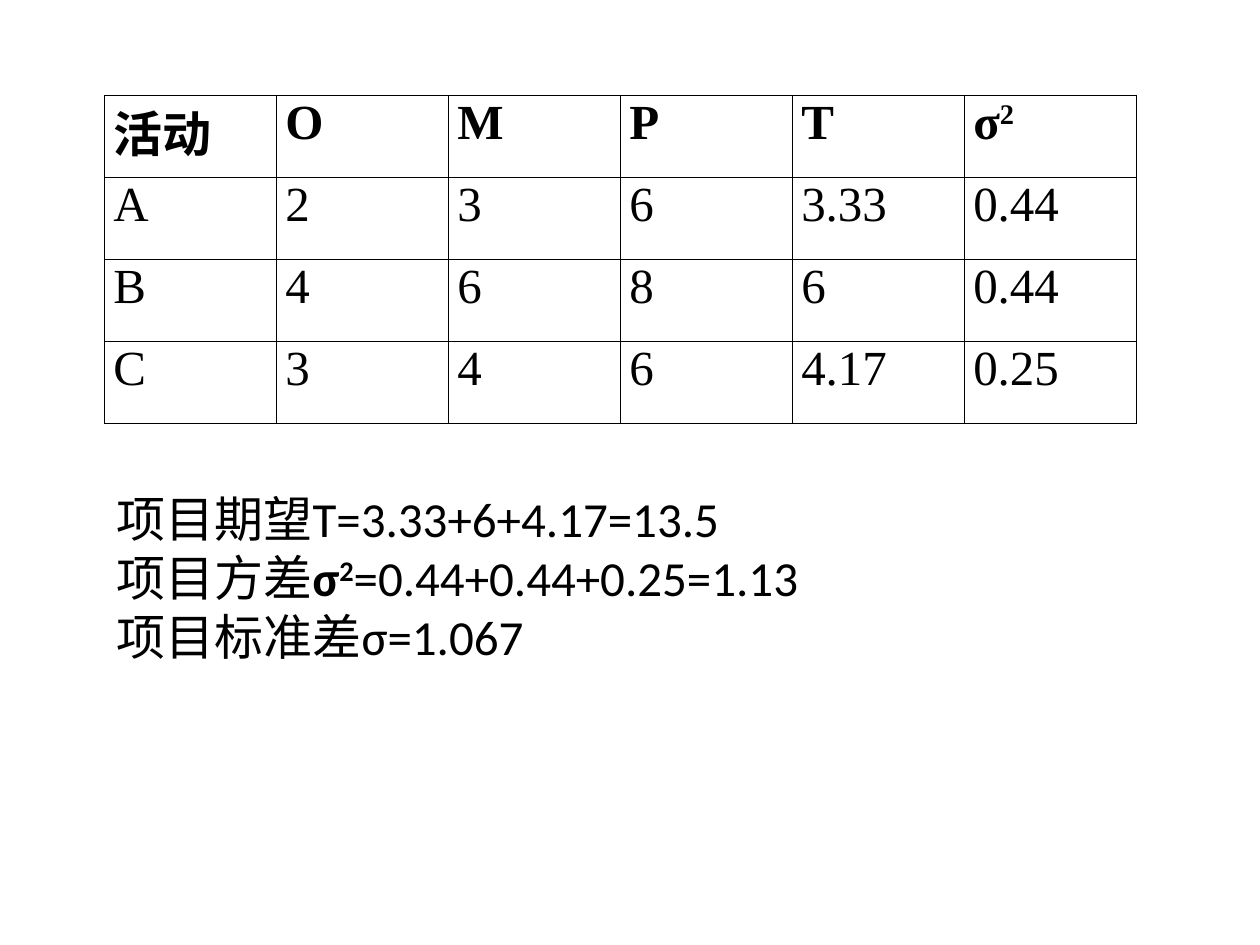
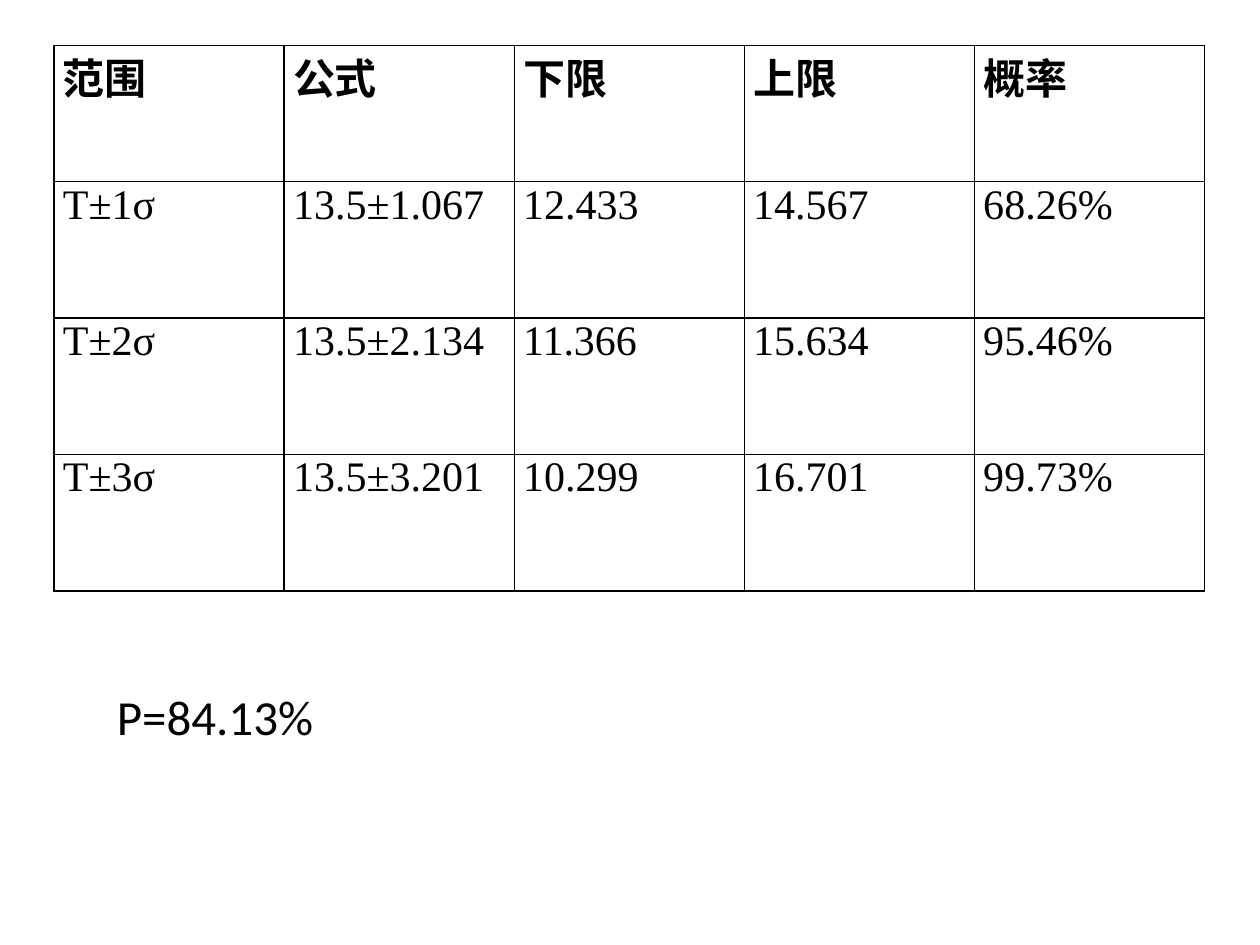
import pptx
import pptx.dml.color
import pptx.enum.text
import pptx.oxml.ns
import pptx.util
from lxml import etree

Inches = pptx.util.Inches
Pt = pptx.util.Pt

COLORS = {"text": "000000", "border": "000000"}
TABLE_FONT = "Times New Roman"
NOTE_FONT = "Calibri"
NOTE_SIZE = 28
NOTE_LEFT = 0.83
SUP = {"bold": True, "baseline": 30}

ACTIVITIES = [
    ["活动", "O", "M", "P", "T", [("σ", {}), ("2", SUP)]],
    ["A", "2", "3", "6", "3.33", "0.44"],
    ["B", "4", "6", "8", "6", "0.44"],
    ["C", "3", "4", "6", "4.17", "0.25"],
]
ACTIVITY_NOTES = [
    "项目期望T=3.33+6+4.17=13.5",
    [("项目方差", {}), ("σ", {"bold": True}), ("2", SUP),
     ("=0.44+0.44+0.25=1.13", {})],
    "项目标准差σ=1.067",
]
RANGES = [
    ["范围", "公式", "下限", "上限", "概率"],
    ["T±1σ", "13.5±1.067", "12.433", "14.567", "68.26%"],
    ["T±2σ", "13.5±2.134", "11.366", "15.634", "95.46%"],
    ["T±3σ", "13.5±3.201", "10.299", "16.701", "99.73%"],
]


def add_run(p, text, font, size, bold=False, baseline=0):
    r = p.add_run()
    r.text = text
    r.font.name = font
    r.font.size = Pt(size)
    r.font.bold = bold
    r.font.color.rgb = pptx.dml.color.RGBColor.from_string(COLORS["text"])
    if baseline:
        r.font._element.set("baseline", str(baseline * 1000))


def write(p, content, align=None, **fmt):
    """Fill a paragraph with a string or a list of (text, format) runs."""
    p.alignment = align
    runs = [(content, {})] if isinstance(content, str) else content
    for text, extra in runs:
        add_run(p, text, **{**fmt, **extra})


def set_borders(cell, width=1):
    tcPr = cell._tc.get_or_add_tcPr()
    for side in ("lnL", "lnR", "lnT", "lnB"):
        ln = etree.SubElement(tcPr, pptx.oxml.ns.qn("a:" + side), w=str(Pt(width)))
        fill = etree.SubElement(ln, pptx.oxml.ns.qn("a:solidFill"))
        etree.SubElement(fill, pptx.oxml.ns.qn("a:srgbClr"), val=COLORS["border"])


def add_grid(slide, rows, left, top, width, height, size):
    """Plain ruled table with equal columns, equal rows and a bold header."""
    frame = slide.shapes.add_table(len(rows), len(rows[0]), Inches(left),
                                   Inches(top), Inches(width), Inches(height))
    table = frame.table
    table.first_row = table.horz_banding = False
    for i, row in enumerate(rows):
        for j, content in enumerate(row):
            cell = table.cell(i, j)
            cell.margin_left = cell.margin_right = Inches(0.07)
            cell.margin_top = cell.margin_bottom = 0
            set_borders(cell)
            cell.fill.background()
            write(cell.text_frame.paragraphs[0], content,
                  align=pptx.enum.text.PP_ALIGN.JUSTIFY,
                  font=TABLE_FONT, size=size, bold=i == 0)


def add_notes(slide, lines, top, width, height):
    """Results below the table, one paragraph a line."""
    sp = slide.shapes.add_textbox(Inches(NOTE_LEFT), Inches(top),
                                  Inches(width), Inches(height))
    tf = sp.text_frame
    tf.word_wrap = True
    tf.auto_size = pptx.enum.text.MSO_AUTO_SIZE.SHAPE_TO_FIT_TEXT
    for i, line in enumerate(lines):
        p = tf.add_paragraph() if i else tf.paragraphs[0]
        write(p, line, font=NOTE_FONT, size=NOTE_SIZE)


def add_table_slide(prs, rows, grid, size, lines, note):
    slide = prs.slides.add_slide(prs.slide_layouts[6])
    add_grid(slide, rows, *grid, size)
    add_notes(slide, lines, *note)


def main():
    prs = pptx.Presentation()
    prs.slide_width, prs.slide_height = Inches(10), Inches(7.5)
    # Activity estimates
    add_table_slide(prs, ACTIVITIES, (0.83, 0.76, 8.19, 2.6), 28,
                    ACTIVITY_NOTES, (3.83, 6.54, 1.51))
    # Probability ranges
    add_table_slide(prs, RANGES, (0.43, 0.36, 9.13, 4.33), 24,
                    ["P=84.13%"], (5.4, 5, 0.57))
    prs.save("out.pptx")


if __name__ == "__main__":
    main()
